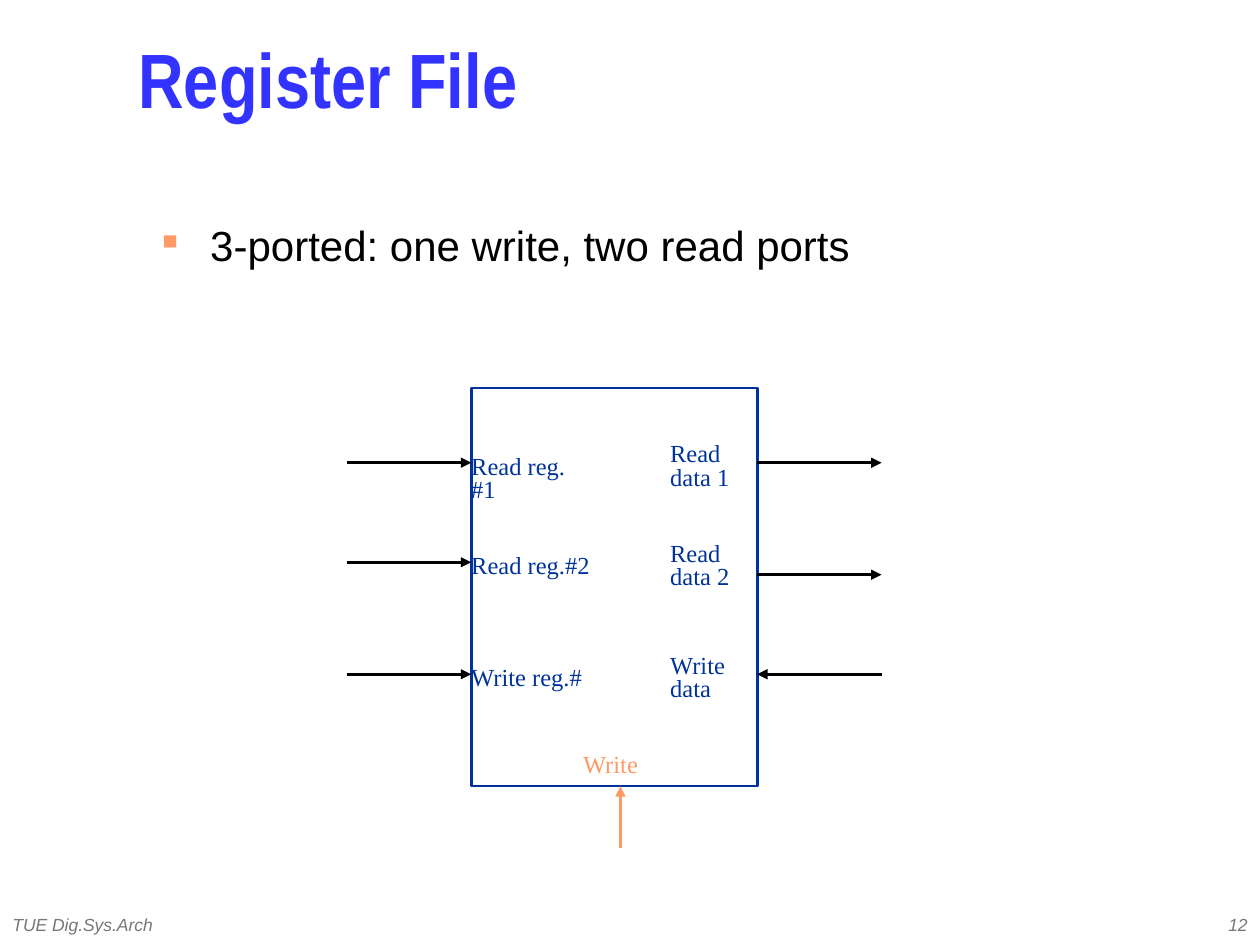
from pptx import Presentation, util as u
from pptx.dml.color import RGBColor
from pptx.enum import shapes, text
from pptx.oxml.ns import qn
from lxml import etree

NAVY, ORANGE, BLACK, BLUE, GRAY = "003399", "FF9966", "010000", "3333FF", "777777"
WIDTH, HEIGHT = 10, 7.5
BOX_COLS, BOX_ROWS, ARROW_COLS = 23, 32, 10


def rgb(value):
    """Turn a hex string into a colour."""
    return RGBColor.from_string(value)


def add_text(slide, box, words, size, font, color, bold=False, italic=False,
             spacing=None, wrap=True, anchor=text.MSO_ANCHOR.TOP,
             align=text.PP_ALIGN.LEFT):
    """Place formatted text in a box given in inches and return its frame."""
    frame = slide.shapes.add_textbox(*map(u.Inches, box)).text_frame
    frame.word_wrap = wrap
    frame.vertical_anchor = anchor
    frame.text = words
    for paragraph in frame.paragraphs:
        paragraph.alignment = align
        if spacing:
            paragraph.line_spacing = spacing
        for run in paragraph.runs:
            run.font.size = u.Pt(size)
            run.font.name = font
            run.font.bold = bold
            run.font.italic = italic
            run.font.color.rgb = rgb(color)
    return frame


def add_arrow(slide, start, end, color):
    """Draw an arrow between two points given in inches."""
    arrow = slide.shapes.add_connector(
        shapes.MSO_CONNECTOR.STRAIGHT, *map(u.Inches, (*start, *end)))
    arrow.line.color.rgb = rgb(color)
    arrow.line.width = u.Pt(1.5)
    etree.SubElement(arrow.line._get_or_add_ln(), qn("a:tailEnd"), type="triangle")
    etree.SubElement(arrow._element.spPr, qn("a:effectLst"))


def add_title(slide, box):
    """Write the slide title."""
    add_text(slide, box, "Register File", 44, "Arial Narrow", BLUE, bold=True,
             spacing=0.7, anchor=text.MSO_ANCHOR.MIDDLE)


def add_bullets(slide, box):
    """Write the bulleted statement."""
    frame = add_text(slide, box, "3-ported: one write, two read ports",
                     24, "Arial", BLACK)
    properties = frame.paragraphs[0]._p.get_or_add_pPr()
    indent = u.Inches(0.38)
    properties.set("marL", str(indent))
    properties.set("indent", str(-indent))
    bullet_color = etree.SubElement(properties, qn("a:buClr"))
    etree.SubElement(bullet_color, qn("a:srgbClr"), val=ORANGE)
    etree.SubElement(properties, qn("a:buSzPct"), val="50000")
    etree.SubElement(properties, qn("a:buChar"), char="■")


def add_register_file(slide, box):
    """Draw the register file with its ports on a grid of columns and rows."""
    left, top, width, height = box
    col, row = width / BOX_COLS, height / BOX_ROWS

    def point(x, y):
        """Convert a grid position to inches."""
        return left + x * col, top + y * row

    def label(x, y, words, size, color=NAVY):
        """Write a port label at a grid position."""
        add_text(slide, (*point(x, y), *size), words, 14, "Times New Roman",
                 color, spacing=0.8, wrap=False)

    body = slide.shapes.add_shape(shapes.MSO_SHAPE.RECTANGLE, *map(u.Inches, box))
    body.shadow.inherit = False
    body.fill.background()
    body.line.color.rgb = rgb(NAVY)
    body.line.width = u.Pt(1.5)

    for words, y in (("Read reg. #1", 6), ("Read reg.#2", 14), ("Write reg.#", 23)):
        label(-1, y - 1, words, (1.15, 0.29))
        add_arrow(slide, point(-ARROW_COLS, y), point(0, y), BLACK)

    inner, outer = BOX_COLS, BOX_COLS + ARROW_COLS
    for words, label_y, y, start, end in (
            ("Read\ndata 1", 4, 6, inner, outer),
            ("Read\ndata 2", 12, 15, inner, outer),
            ("Write\ndata", 21, 23, outer, inner)):
        label(15, label_y, words, (0.67, 0.48))
        add_arrow(slide, point(start, y), point(end, y), BLACK)

    label(8, 29, "Write", (0.64, 0.29), ORANGE)
    add_arrow(slide, point(12, BOX_ROWS + 5), point(12, BOX_ROWS), ORANGE)


def add_footer(slide, box):
    """Write the course name and page number at the two ends of the footer."""
    left, top, width, height = box
    part = 2.08
    for words, x, align in (
            ("TUE Dig.Sys.Arch", left, text.PP_ALIGN.LEFT),
            ("12", left + width - part, text.PP_ALIGN.RIGHT)):
        add_text(slide, (x, top, part, height), words, 10, "Arial", GRAY,
                 italic=True, anchor=text.MSO_ANCHOR.MIDDLE, align=align)


def main():
    """Build and save the slide."""
    deck = Presentation()
    deck.slide_width, deck.slide_height = u.Inches(WIDTH), u.Inches(HEIGHT)
    slide = deck.slides.add_slide(deck.slide_layouts[6])
    add_bullets(slide, (1.19, 1.69, 8.21, 4.79))
    add_title(slide, (1, 0.17, 8.58, 1.08))
    add_register_file(slide, (3.74, 3.08, 2.27, 3.16))
    add_footer(slide, (0, HEIGHT - 0.33, WIDTH, 0.33))
    deck.save("out.pptx")


if __name__ == "__main__":
    main()
